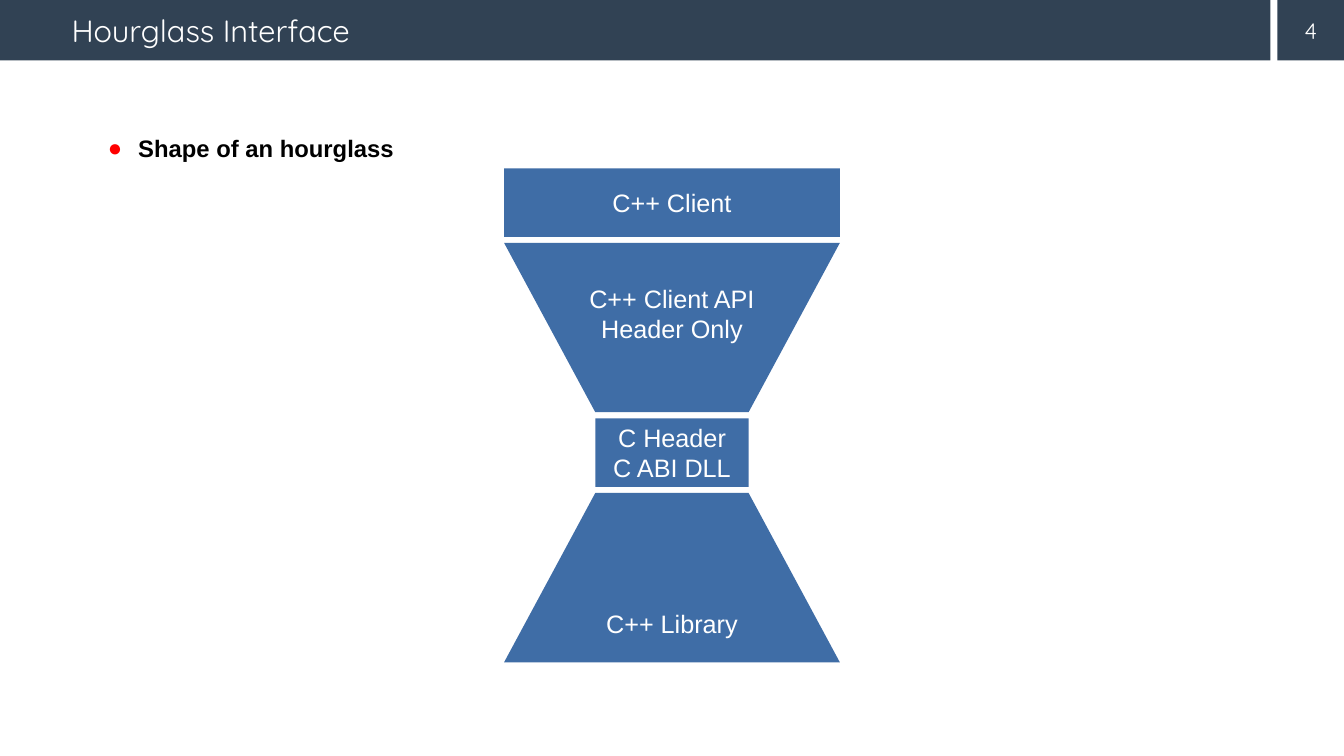
from lxml import etree
from pptx import Presentation
from pptx import util as u
from pptx.dml.color import RGBColor
from pptx.enum import shapes, text
from pptx.oxml import ns

NAVY, BLUE, WHITE, BLACK, RED = "314254", "3F6DA6", "FFFFFF", "000000", "FF0000"
LABEL = dict(name="Arial", size=u.Pt(18))
MIDDLE = dict(vertical_anchor=text.MSO_ANCHOR.MIDDLE, word_wrap=True)
FLUSH = dict(MIDDLE, margin_left=0, margin_right=0, margin_top=0, margin_bottom=0)


def rgb(color):
    """Turn a hex string into a colour."""
    return RGBColor.from_string(color)


def apply(target, values):
    """Set each attribute named in a dict of format values."""
    for name, value in values.items():
        setattr(target, name, value)


def place(sp, box):
    """Move and size a shape to a box given in inches."""
    apply(sp, dict(zip(("left", "top", "width", "height"), map(u.Inches, box))))


def paint(sp, color):
    """Give a shape a plain fill without line or shadow."""
    sp.fill.solid()
    sp.fill.fore_color.rgb = rgb(color)
    sp.line.fill.background()
    sp.shadow.inherit = False


def write(sp, lines, font, frame, color=WHITE, align=text.PP_ALIGN.CENTER):
    """Write lines as paragraphs in one format."""
    tf = sp.text_frame
    apply(tf, frame)
    for i, line in enumerate(lines):
        p = tf.add_paragraph() if i else tf.paragraphs[0]
        p.alignment = align
        r = p.add_run()
        r.text = line
        apply(r.font, font)
        r.font.color.rgb = rgb(color)


def indent(p, left, first=0):
    """Set the left margin and first-line indent of a paragraph."""
    pPr = p._p.get_or_add_pPr()
    pPr.set("marL", str(u.Inches(left)))
    pPr.set("indent", str(u.Inches(first)))
    return pPr


def add_block(s, box, lines, color=BLUE, font=LABEL, frame=MIDDLE):
    """Add a filled rectangle with a centred label."""
    sp = s.shapes.add_shape(shapes.MSO_SHAPE.RECTANGLE, *map(u.Inches, box))
    paint(sp, color)
    write(sp, lines, font, frame)


def add_trapezoid(s, left, width, neck, wide_y, neck_y):
    """Add a trapezoid that narrows from its wide edge to its neck."""
    inset = (width - neck) / 2
    points = [(left, wide_y), (left + width, wide_y),
              (left + width - inset, neck_y), (left + inset, neck_y)]
    points = [(u.Inches(x), u.Inches(y)) for x, y in points]
    builder = s.shapes.build_freeform(*points[0])
    builder.add_line_segments(points[1:], close=True)
    sp = builder.convert_to_shape()
    paint(sp, BLUE)
    return sp


def add_header(s, box, title, number):
    """Place the title bar and the page number block."""
    left, top, width, height = box
    block, gap = 0.66, 0.07
    sp = s.shapes.title
    place(sp, (left, top, width - block - gap, height))
    paint(sp, NAVY)
    frame = dict(FLUSH, auto_size=text.MSO_AUTO_SIZE.NONE)
    write(sp, [title], dict(name="Quicksand", size=u.Pt(22)), frame,
          align=text.PP_ALIGN.LEFT)
    indent(sp.text_frame.paragraphs[0], 0.71)
    add_block(s, (left + width - block, top, block, height), [number], NAVY,
              dict(name="Quicksand", size=u.Pt(16)), FLUSH)


def add_bullets(s, box, lines):
    """Place the body list with red bullets."""
    sp = s.placeholders[1]
    place(sp, box)
    write(sp, lines, dict(name="Arial", size=u.Pt(17), bold=True),
          dict(auto_size=text.MSO_AUTO_SIZE.NONE), BLACK, text.PP_ALIGN.LEFT)
    for p in sp.text_frame.paragraphs:
        apply(p, dict(space_before=u.Pt(3), space_after=u.Pt(20)))
        pPr = indent(p, 0.59, -0.3)
        bullet = etree.SubElement(pPr, ns.qn("a:buClr"))
        etree.SubElement(bullet, ns.qn("a:srgbClr")).set("val", RED)
        etree.SubElement(pPr, ns.qn("a:buChar")).set("char", "●")


def add_hourglass(s, box):
    """Stack the client, API, C interface and library layers."""
    left, top, width, height = box
    bar, gap, neck, label = 0.68, 0.06, 1.52, 0.4
    cone = (height - 2 * bar - 3 * gap) / 2
    api = top + bar + gap
    core = api + cone + gap
    library = core + bar + gap
    bottom = top + height
    neck_left = left + (width - neck) / 2

    sp = add_trapezoid(s, left, width, neck, api, api + cone)
    write(sp, ["C++ Client API", "Header Only"], LABEL,
          dict(MIDDLE, margin_bottom=u.Inches(0.33)))
    add_trapezoid(s, left, width, neck, bottom, library)
    label_box = (neck_left, bottom - 0.18 - label, neck, label)
    sp = s.shapes.add_textbox(*map(u.Inches, label_box))
    write(sp, ["C++ Library"], LABEL, dict(word_wrap=False))
    add_block(s, (neck_left, core, neck, bar), ["C Header", "C ABI DLL"])
    add_block(s, (left, top, width, bar), ["C++ Client"])


def main():
    """Build and save the slide."""
    prs = Presentation()
    apply(prs, dict(slide_width=u.Inches(13.33), slide_height=u.Inches(7.5)))
    s = prs.slides.add_slide(prs.slide_layouts[1])
    add_header(s, (0, 0, 13.33, 0.6), "Hourglass Interface", "4")
    add_bullets(s, (0.68, 1.28, 11.97, 5.28), ["Shape of an hourglass"])
    add_hourglass(s, (5, 1.67, 3.33, 4.9))
    prs.save("out.pptx")


if __name__ == "__main__":
    main()
